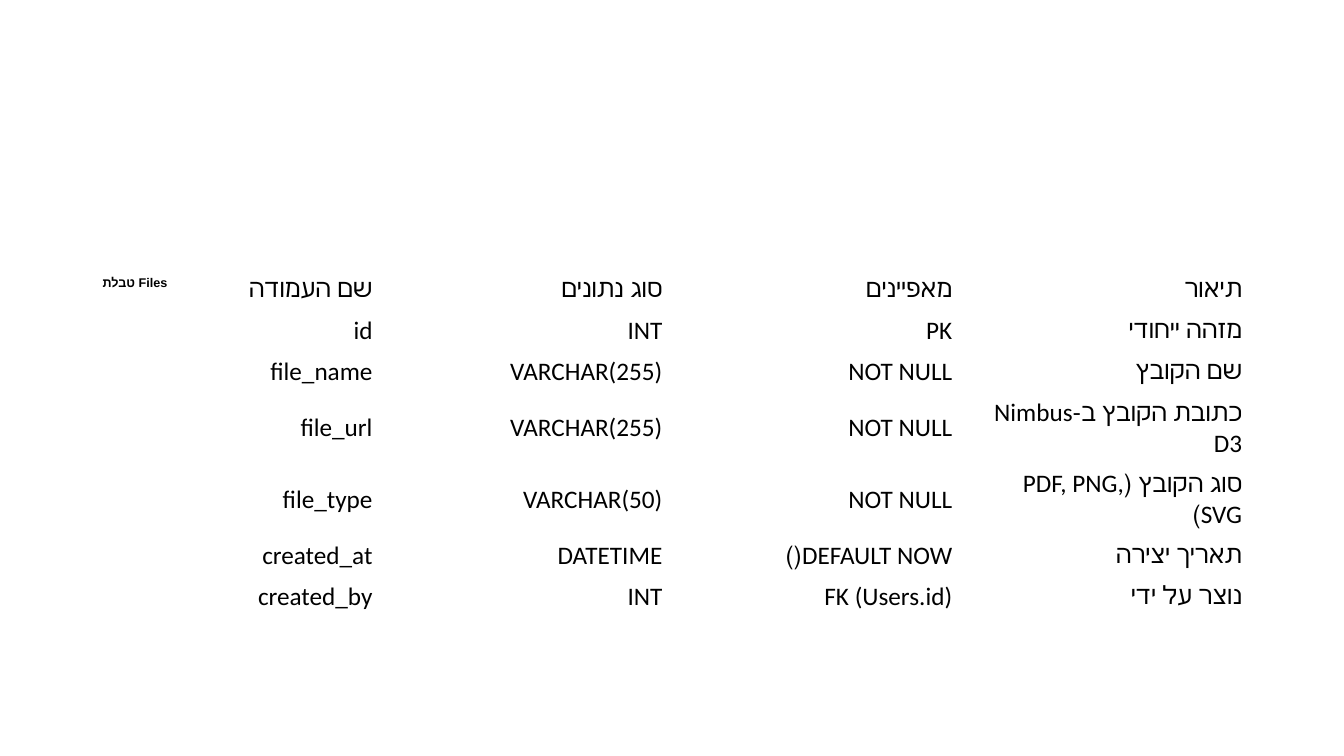
from lxml import etree
from pptx import Presentation
from pptx.dml.color import RGBColor
from pptx.enum.text import MSO_ANCHOR, PP_ALIGN
from pptx.oxml.ns import qn
from pptx.util import Inches, Pt

MIDDLE, TOP = MSO_ANCHOR.MIDDLE, MSO_ANCHOR.TOP
RIGHT = PP_ALIGN.RIGHT

TITLE = "טבלת Files"
ROWS = [
    ("שם העמודה", "סוג נתונים", "מאפיינים", "תיאור"),
    ("id", "INT", "PK", "מזהה ייחודי"),
    ("file_name", "VARCHAR(255)", "NOT NULL", "שם הקובץ"),
    ("file_url", "VARCHAR(255)", "NOT NULL", "כתובת הקובץ ב-Nimbus D3"),
    ("file_type", "VARCHAR(50)", "NOT NULL", "סוג הקובץ (PDF, PNG, SVG)"),
    ("created_at", "DATETIME", "DEFAULT NOW()", "תאריך יצירה"),
    ("created_by", "INT", "FK (Users.id)", "נוצר על ידי"),
]
TWO_LINE_ROWS = {3, 4}

THEME = {
    "ink": RGBColor(0, 0, 0),
    "table_font": "Calibri",
    "table_size": Pt(18),
    "title_font": "Arial",
    "title_size": Pt(9),
}
NO_STYLE = "{2D5ABB26-0587-4C30-8999-92F81FD0307C}"

SLIDE_WIDTH, SLIDE_HEIGHT = 13.33, 7.5
LEFT, TABLE_TOP = 0.92, 2.68
TABLE_WIDTH = 11.5
ROW_HEIGHT, TALL_ROW_HEIGHT = 0.4, 0.7


def style_span(span, role, bold=False):
    font = span.font
    font.name = THEME[f"{role}_font"]
    font.size = THEME[f"{role}_size"]
    font.bold = bold
    font.color.rgb = THEME["ink"]


def fill_cell(cell, text):
    cell.fill.background()
    cell.vertical_anchor = MIDDLE
    para = cell.text_frame.paragraphs[0]
    para.text = text
    para.alignment = RIGHT
    para._p.get_or_add_pPr().set("rtl", "1")
    style_span(para.runs[0], "table")


def add_columns_table(page):
    heights = [TALL_ROW_HEIGHT if index in TWO_LINE_ROWS else ROW_HEIGHT
               for index in range(len(ROWS))]
    frame = page.shapes.add_table(
        len(ROWS), len(ROWS[0]), Inches(LEFT), Inches(TABLE_TOP),
        Inches(TABLE_WIDTH), Inches(sum(heights)))
    table = frame.table
    table.first_row = table.horz_banding = False
    table._tbl.tblPr.find(qn("a:tableStyleId")).text = NO_STYLE
    for row, height, texts in zip(table.rows, heights, ROWS):
        row.height = Inches(height)
        for cell, text in zip(row.cells, texts):
            fill_cell(cell, text)


def add_title(page):
    box = page.shapes.add_textbox(
        Inches(LEFT), Inches(TABLE_TOP), Inches(SLIDE_WIDTH), Inches(0.5))
    frame = box.text_frame
    frame.word_wrap = False
    frame.vertical_anchor = TOP
    frame.text = TITLE
    span = frame.paragraphs[0].runs[0]
    style_span(span, "title", bold=True)
    # Hebrew letters take the complex-script font
    etree.SubElement(span.font._element, qn("a:cs"), typeface=THEME["title_font"])


def main():
    deck = Presentation()
    deck.slide_width = Inches(SLIDE_WIDTH)
    deck.slide_height = Inches(SLIDE_HEIGHT)
    page = deck.slides.add_slide(deck.slide_layouts[6])
    add_columns_table(page)
    add_title(page)
    deck.save("out.pptx")


if __name__ == "__main__":
    main()
